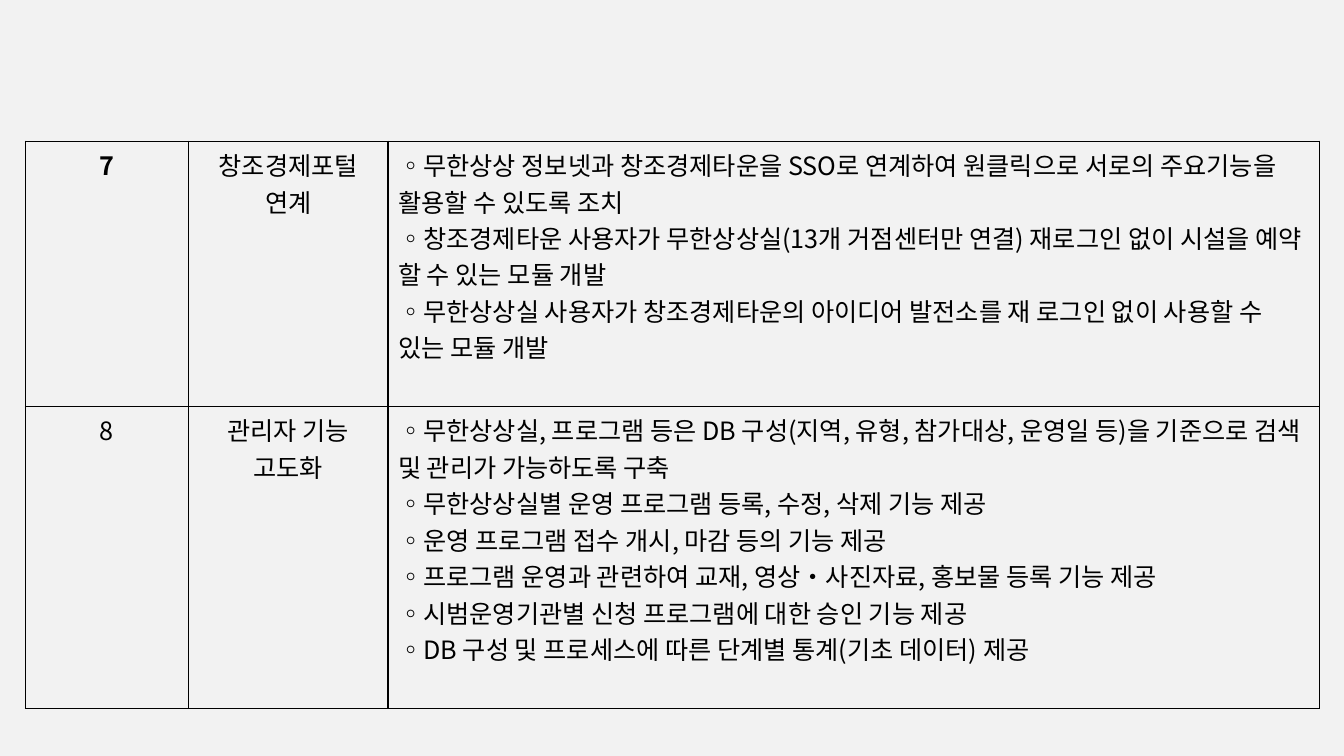
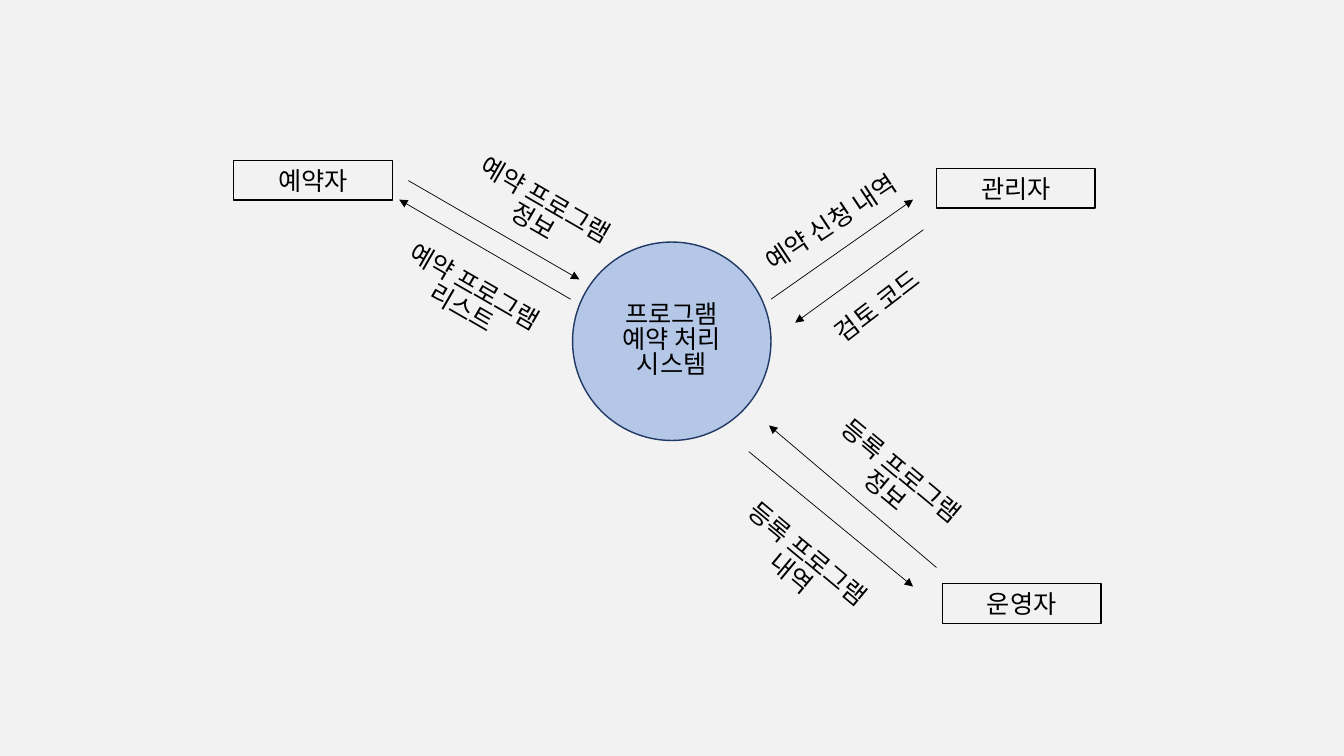
from lxml import etree
from pptx import Presentation
from pptx.dml.color import RGBColor
from pptx.enum.shapes import MSO_CONNECTOR, MSO_SHAPE
from pptx.enum.text import MSO_ANCHOR, PP_ALIGN
from pptx.oxml.ns import qn
from pptx.util import Cm, Pt

CENTER, LEFT = PP_ALIGN.CENTER, PP_ALIGN.LEFT
MIDDLE = MSO_ANCHOR.MIDDLE
RECTANGLE, OVAL = MSO_SHAPE.RECTANGLE, MSO_SHAPE.OVAL
STRAIGHT = MSO_CONNECTOR.STRAIGHT

FONT = "Noto Sans CJK KR"
COLORS = {
    "background": "F2F2F2",
    "ink": "000000",
    "system": "B4C7E7",
    "system_line": "203864",
}
COLOR = {name: RGBColor.from_string(value) for name, value in COLORS.items()}


def write_lines(frame, lines, align, bold=False, spacing=None):
    """Write one paragraph per line in the deck's text style."""
    frame.word_wrap = True
    for index, line in enumerate(lines):
        para = frame.paragraphs[0] if index == 0 else frame.add_paragraph()
        para.alignment = align
        if spacing:
            para.line_spacing = spacing
        span = para.add_run()
        span.text = line
        span.font.size = Pt(18)
        span.font.bold = bold
        span.font.color.rgb = COLOR["ink"]
        span.font.name = FONT
        east_asian = etree.SubElement(span.font._element, qn("a:ea"))
        east_asian.set("typeface", FONT)


def write_centered(shape, lines):
    """Centre lines in a shape; stacked lines are set tighter."""
    frame = shape.text_frame
    frame.vertical_anchor = MIDDLE
    frame.margin_top = frame.margin_bottom = 0
    write_lines(frame, lines, CENTER, spacing=0.82 if len(lines) > 1 else None)


# Deck and shared background
deck = Presentation()
deck.slide_width, deck.slide_height = Cm(33.87), Cm(19.05)
master_fill = deck.slide_master.background.fill
master_fill.solid()
master_fill.fore_color.rgb = COLOR["background"]
blank_layout = deck.slide_layouts[6]

# Page 1: requirements table
page = deck.slides.add_slide(blank_layout)
requirements = [
    (["7"], ["창조경제포털", "연계"], [
        "◦무한상상 정보넷과 창조경제타운을 SSO로 연계하여 원클릭으로 서로의 주요기능을 활용할 수 있도록 조치",
        "◦창조경제타운 사용자가 무한상상실(13개 거점센터만 연결) 재로그인 없이 시설을 예약 할 수 있는 모듈 개발",
        "◦무한상상실 사용자가 창조경제타운의 아이디어 발전소를 재 로그인 없이 사용할 수 있는 모듈 개발",
    ]),
    (["8"], ["관리자 기능 고도화"], [
        "◦무한상상실, 프로그램 등은 DB 구성(지역, 유형, 참가대상, 운영일 등)을 기준으로 검색 및 관리가 가능하도록 구축",
        "◦무한상상실별 운영 프로그램 등록, 수정, 삭제 기능 제공",
        "◦운영 프로그램 접수 개시, 마감 등의 기능 제공",
        "◦프로그램 운영과 관련하여 교재, 영상‧사진자료, 홍보물 등록 기능 제공",
        "◦시범운영기관별 신청 프로그램에 대한 승인 기능 제공",
        "◦DB 구성 및 프로세스에 따른 단계별 통계(기초 데이터) 제공",
    ]),
]
column_widths = [4.11, 5.03, 23.47]
row_heights = [6.68, 7.62]
table = page.shapes.add_table(
    len(row_heights), len(column_widths), Cm(0.64), Cm(3.56),
    Cm(sum(column_widths)), Cm(sum(row_heights))).table
table.first_row = table.horz_banding = False
for column, width in zip(table.columns, column_widths):
    column.width = Cm(width)
for row, height in zip(table.rows, row_heights):
    row.height = Cm(height)

for row_index, requirement in enumerate(requirements):
    for column_index, lines in enumerate(requirement):
        cell = table.cell(row_index, column_index)
        properties = cell._tc.get_or_add_tcPr()
        for side in ("L", "R", "T", "B"):
            border = etree.SubElement(properties, qn(f"a:ln{side}"), w=str(Pt(1)))
            border_fill = etree.SubElement(border, qn("a:solidFill"))
            etree.SubElement(border_fill, qn("a:srgbClr"), val=COLORS["ink"])
        cell.fill.solid()
        cell.fill.fore_color.rgb = COLOR["background"]
        write_lines(cell.text_frame, lines,
                    LEFT if column_index == 2 else CENTER,
                    bold=(row_index == 0 and column_index == 0))

# Page 2: reservation data flow
page = deck.slides.add_slide(blank_layout)

# People and central system: shape, left, top, width, height, fill, line, text
nodes = [
    (RECTANGLE, 23.6, 4.24, 4, 1, "background", "ink", ["관리자"]),
    (RECTANGLE, 5.89, 4.04, 4, 1, "background", "ink", ["예약자"]),
    (RECTANGLE, 23.75, 14.71, 4, 1, "background", "ink", ["운영자"]),
    (OVAL, 14.43, 6.1, 5, 5, "system", "system_line",
     ["프로그램", "예약 처리", "시스템"]),
]
for kind, left, top, width, height, fill, line, lines in nodes:
    node = page.shapes.add_shape(kind, Cm(left), Cm(top), Cm(width), Cm(height))
    node.shadow.inherit = False
    node.fill.solid()
    node.fill.fore_color.rgb = COLOR[fill]
    node.line.color.rgb = COLOR[line]
    node.line.width = Pt(1)
    write_centered(node, lines)

# Flows: arrow start, arrow end, label position, label angle, label text
flows = [
    ((10.29, 4.55), (14.6, 7.04), (10.52, 4.45), 30, ["예약 프로그램", "정보"]),
    ((14.38, 7.54), (10.06, 5.03), (8.74, 6.63), 30, ["예약 프로그램", "리스트"]),
    ((19.43, 7.54), (23.01, 5.03), (17.88, 5.08), 326.5, ["예약 신청 내역"]),
    ((23.27, 5.79), (20.04, 8.13), (19.05, 7.19), 322.6, ["검토 코드"]),
    ((23.6, 14.3), (19.38, 10.72), (19.43, 11.25), 39.9, ["등록 프로그램", "정보"]),
    ((18.87, 11.38), (23.01, 14.78), (17.07, 13.34), 39.9, ["등록 프로그램", "내역"]),
]
for start, end, (left, top), angle, lines in flows:
    arrow = page.shapes.add_connector(
        STRAIGHT, Cm(start[0]), Cm(start[1]), Cm(end[0]), Cm(end[1]))
    arrow.line.color.rgb = COLOR["ink"]
    arrow.line.width = Pt(0.5)
    etree.SubElement(arrow.line._get_or_add_ln(), qn("a:tailEnd"), type="triangle")
    etree.SubElement(arrow._element.spPr, qn("a:effectLst"))

    label_height = 1.8 if len(lines) > 1 else 1.02
    label = page.shapes.add_textbox(Cm(left), Cm(top), Cm(6.1), Cm(label_height))
    label.rotation = angle
    write_centered(label, lines)

deck.save("out.pptx")
